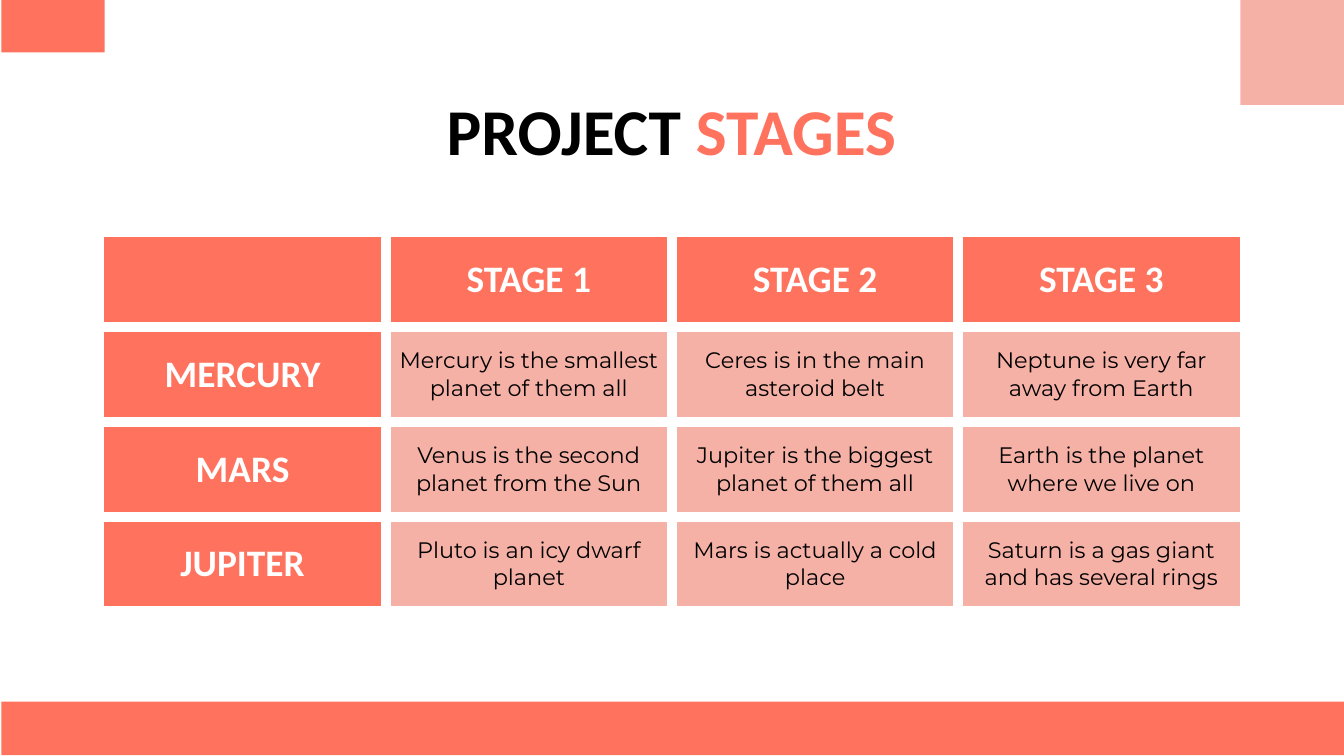
from lxml import etree
from pptx import Presentation
from pptx.dml.color import RGBColor
from pptx.enum.shapes import MSO_SHAPE
from pptx.enum.text import MSO_ANCHOR, PP_ALIGN
from pptx.oxml.ns import qn
from pptx.util import Inches, Pt

RECTANGLE = MSO_SHAPE.RECTANGLE
MIDDLE = MSO_ANCHOR.MIDDLE
CENTER = PP_ALIGN.CENTER

CORAL = "FF725E"
PINK = "F6B1A7"
WHITE = "FFFFFF"
BLACK = "000000"
HEADING_FONT = "Calibri"
BODY_FONT = "Montserrat"

STAGES = [
    ["", "STAGE 1", "STAGE 2", "STAGE 3"],
    ["MERCURY", "Mercury is the smallest planet of them all",
     "Ceres is in the main asteroid belt", "Neptune is very far away from Earth"],
    ["MARS", "Venus is the second planet from the Sun",
     "Jupiter is the biggest planet of them all", "Earth is the planet where we live on"],
    ["JUPITER", "Pluto is an icy dwarf planet",
     "Mars is actually a cold place", "Saturn is a gas giant and has several rings"],
]


def rgb(value):
    return RGBColor.from_string(value)


class StageSlide:
    def __init__(self, slide):
        self.slide = slide
        self.margin = Inches(0.1)

    def set_font(self, font, name, size, color, bold):
        font.name = name
        font.size = Pt(size)
        font.bold = bold
        font.color.rgb = rgb(color)

    def set_margins(self, target):
        target.margin_left = target.margin_right = self.margin
        target.margin_top = target.margin_bottom = self.margin
        target.vertical_anchor = MIDDLE

    def block(self, left, top, width, height, color):
        shape = self.slide.shapes.add_shape(
            RECTANGLE, Inches(left), Inches(top), Inches(width), Inches(height))
        shape.shadow.inherit = False
        shape.fill.solid()
        shape.fill.fore_color.rgb = rgb(color)
        shape.line.fill.background()

    def title(self, left, top, width, height, parts):
        shape = self.slide.shapes.add_textbox(
            Inches(left), Inches(top), Inches(width), Inches(height))
        frame = shape.text_frame
        frame.word_wrap = True
        self.set_margins(frame)
        paragraph = frame.paragraphs[0]
        paragraph.alignment = CENTER
        for text, color in parts:
            run = paragraph.add_run()
            run.text = text
            self.set_font(run.font, HEADING_FONT, 35, color, True)

    def border(self, cell, color, width):
        properties = cell._tc.get_or_add_tcPr()
        for side in ("a:lnL", "a:lnR", "a:lnT", "a:lnB"):
            line = etree.SubElement(properties, qn(side), w=str(Pt(width)))
            fill = etree.SubElement(line, qn("a:solidFill"))
            etree.SubElement(fill, qn("a:srgbClr"), val=color)

    def cell(self, cell, text, is_heading):
        self.border(cell, WHITE, 6)
        cell.fill.solid()
        cell.fill.fore_color.rgb = rgb(CORAL if is_heading else PINK)
        self.set_margins(cell)
        cell.text = text
        paragraph = cell.text_frame.paragraphs[0]
        paragraph.alignment = CENTER
        if is_heading:
            self.set_font(paragraph.font, HEADING_FONT, 20, WHITE, True)
        else:
            self.set_font(paragraph.font, BODY_FONT, 12, BLACK, False)

    def table(self, left, top, width, height, rows):
        table = self.slide.shapes.add_table(
            len(rows), len(rows[0]),
            Inches(left), Inches(top), Inches(width), Inches(height)).table
        table.first_row = False
        table.horz_banding = False
        for row, texts in enumerate(rows):
            for column, text in enumerate(texts):
                self.cell(table.cell(row, column), text, row == 0 or column == 0)


def main():
    presentation = Presentation()
    presentation.slide_width = Inches(10)
    presentation.slide_height = Inches(10) * 9 // 16
    page = StageSlide(presentation.slides.add_slide(presentation.slide_layouts[6]))

    page.block(0.01, 5.22, 10, 0.4, CORAL)
    page.block(0.01, -0.01, 0.77, 0.4, CORAL)
    page.block(9.23, -0.01, 0.77, 0.79, PINK)
    page.table(0.74, 1.73, 8.52, 2.82, STAGES)
    page.title(0.65, 0.72, 8.69, 0.49, [("PROJECT ", BLACK), ("STAGES", CORAL)])

    presentation.save("out.pptx")


if __name__ == "__main__":
    main()
